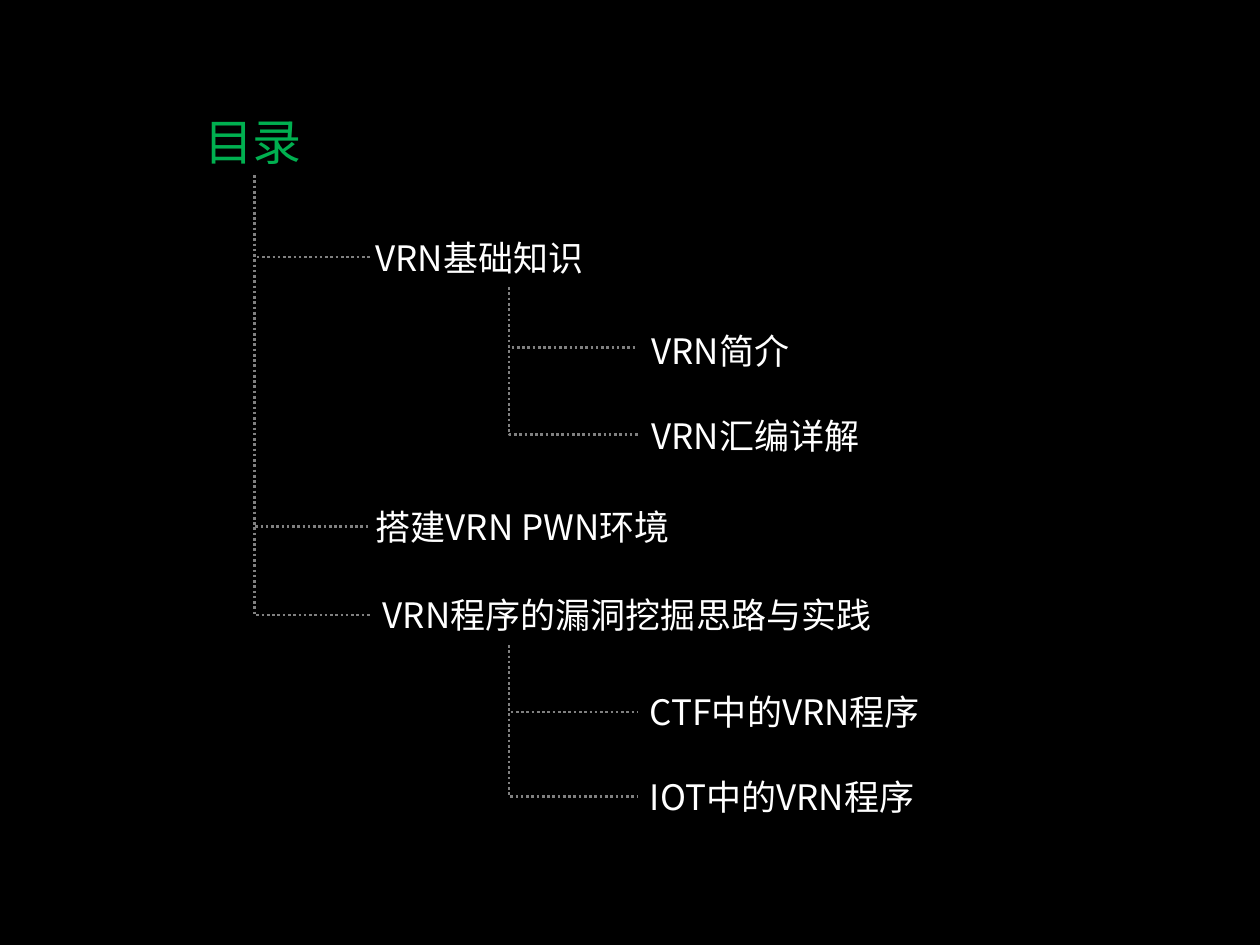
import dataclasses

import lxml.etree
import pptx
import pptx.dml.color
import pptx.enum.dml
import pptx.enum.shapes
import pptx.enum.text
import pptx.oxml.ns
import pptx.util

Inches = pptx.util.Inches
Pt = pptx.util.Pt
qn = pptx.oxml.ns.qn
CJK = "Noto Sans CJK SC"
WHITE, GREEN, BLACK, GRAY = "FFFFFF", "00B050", "000000", "808080"


@dataclasses.dataclass
class Label:
    """A line of the outline, placed by its left edge and its middle."""
    text: str
    left: float
    mid: float
    width: float
    height: float = 0.41
    inset: float = 0.04
    size: int = 20
    font: str = CJK
    color: str = WHITE


@dataclasses.dataclass
class Branch:
    """A stem with one arm for each child."""
    x: float
    top: float
    end: float
    arms: tuple[float, ...]


LABELS = [
    Label("目录", 1.58, 1.12, 0.87, 0.55, size=28, font="Arial", color=GREEN),
    Label("VRN基础知识", 2.94, 2.04, 2.71),
    Label("VRN简介", 5.06, 2.78, 2.71, 0.48, 0.11),
    Label("VRN汇编详解", 5.06, 3.46, 2.71, 0.48, 0.11),
    Label("搭建VRN PWN环境", 2.94, 4.18, 3.35),
    Label("VRN程序的漏洞挖掘思路与实践", 2.94, 4.88, 5.48, 0.44, 0.1),
    Label("CTF中的VRN程序", 5.06, 5.65, 3.09, 0.44, 0.1),
    Label("IOT中的VRN程序", 5.06, 6.32, 2.91, 0.41, 0.1),
]
BRANCHES = [
    Branch(2.02, 1.39, 2.94, (2.04, 4.18, 4.88)),
    Branch(4.04, 2.28, 5.06, (2.76, 3.45)),
    Branch(4.04, 5.12, 5.06, (5.65, 6.32)),
]


def rgb(code: str) -> pptx.dml.color.RGBColor:
    """Turn a hex string into a colour."""
    return pptx.dml.color.RGBColor.from_string(code)


def draw_label(slide, label: Label) -> None:
    """Draw one outlined box with its text."""
    box = slide.shapes.add_shape(
        pptx.enum.shapes.MSO_SHAPE.RECTANGLE,
        Inches(label.left), Inches(label.mid - label.height / 2),
        Inches(label.width), Inches(label.height))
    box.shadow.inherit = False
    box.fill.background()
    box.line.color.rgb = rgb(BLACK)
    box.line.width = Pt(1.5)
    frame = box.text_frame
    frame.word_wrap = True
    frame.vertical_anchor = pptx.enum.text.MSO_ANCHOR.MIDDLE
    frame.margin_left = frame.margin_right = Inches(label.inset)
    frame.margin_top = frame.margin_bottom = 0
    para = frame.paragraphs[0]
    para.text = label.text
    para.alignment = pptx.enum.text.PP_ALIGN.LEFT
    para.font.size = Pt(label.size)
    para.font.name = label.font
    para.font.color.rgb = rgb(label.color)


def draw_branch(slide, branch: Branch) -> None:
    """Draw dotted elbows that go down the stem, then right."""
    for y in branch.arms:
        elbow = slide.shapes.add_connector(
            pptx.enum.shapes.MSO_CONNECTOR.ELBOW,
            Inches(branch.x), Inches(branch.top),
            Inches(branch.end), Inches(y))
        elbow.line.color.rgb = rgb(GRAY)
        elbow.line.width = Pt(1.5)
        elbow.line.dash_style = pptx.enum.dml.MSO_LINE.ROUND_DOT
        props = elbow.element.spPr
        lxml.etree.SubElement(props, qn("a:effectLst"))
        bend = props.find(qn("a:prstGeom")).find(qn("a:avLst"))
        lxml.etree.SubElement(bend, qn("a:gd"), name="adj1", fmla="val 0")


def main() -> None:
    """Build the slide and save it."""
    deck = pptx.Presentation()
    deck.slide_width, deck.slide_height = Inches(10), Inches(7.5)
    slide = deck.slides.add_slide(deck.slide_layouts[6])
    slide.background.fill.solid()
    slide.background.fill.fore_color.rgb = rgb(BLACK)
    for label in LABELS:
        draw_label(slide, label)
    for branch in BRANCHES:
        draw_branch(slide, branch)
    deck.save("out.pptx")


main()
